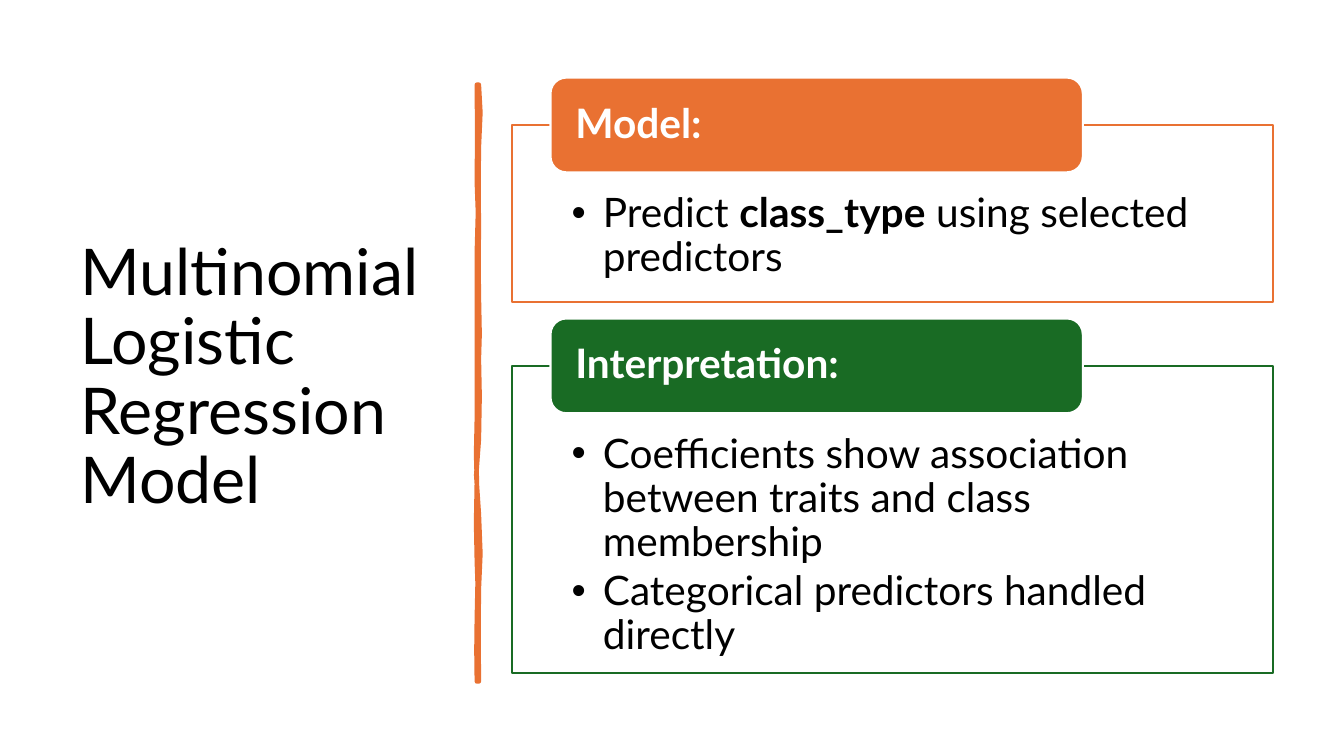
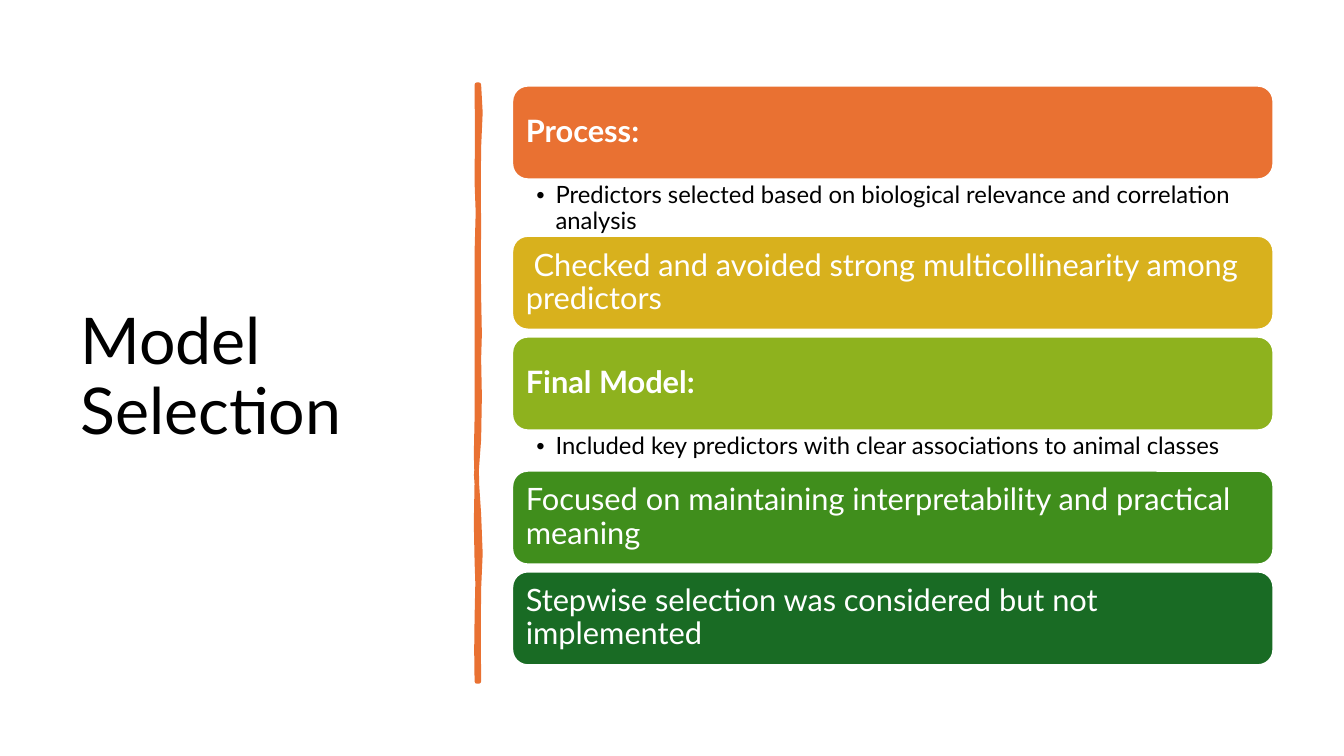
from lxml.etree import SubElement
from pptx import Presentation
from pptx.dml.color import RGBColor
from pptx.enum.shapes import MSO_SHAPE
from pptx.enum.text import MSO_ANCHOR, MSO_AUTO_SIZE, PP_ALIGN
from pptx.oxml.ns import qn
from pptx.util import Pt

PX = 9144  # EMU per px, 100 px to the inch
FONT = "Lato"
WHITE, BLACK = "FFFFFF", "000000"
ORANGE, GOLD, LIME, GREEN, FOREST = "E97132", "D8B11D", "8EB21E", "408E1C", "196B24"

TITLE_BOX = (70, 70, 374, 611)
CONTENT_LEFT, CONTENT_WIDTH = 508, 755

# Hand-drawn rule: a start point, then two controls and an end per curve
RULE_START = (475, 84)
RULE_CURVES = [
    ((477, 102), (477, 119), (475, 146)), ((473, 173), (476, 195), (475, 226)),
    ((474, 257), (475, 262), (475, 294)), ((475, 325), (477, 342), (475, 356)),
    ((473, 370), (479, 414), (475, 436)), ((471, 457), (472, 484), (475, 510)),
    ((477, 536), (477, 564), (475, 584)), ((473, 603), (476, 650), (475, 676)),
    ((474, 676), (473, 676), (473, 676)), ((474, 646), (471, 644), (473, 613)),
    ((474, 583), (474, 570), (473, 557)), ((472, 544), (472, 495), (473, 477)),
    ((473, 459), (471, 445), (473, 415)), ((474, 386), (472, 373), (473, 335)),
    ((474, 298), (472, 281), (473, 250)), ((474, 218), (475, 200), (473, 181)),
    ((470, 163), (477, 104), (473, 84)),
]
CURVE_STEPS = 2


def color(value):
    return RGBColor.from_string(value)


def emu(*lengths):
    return [length * PX for length in lengths]


def paint(shape, fill, line, width):
    shape.shadow.inherit = False
    shape.fill.solid()
    shape.fill.fore_color.rgb = color(fill)
    shape.line.color.rgb = color(line)
    shape.line.width = Pt(width)


def set_frame(shape, insets, anchor):
    frame = shape.text_frame
    frame.word_wrap = True
    frame.auto_size = MSO_AUTO_SIZE.NONE
    frame.vertical_anchor = anchor
    (frame.margin_left, frame.margin_top,
     frame.margin_right, frame.margin_bottom) = emu(*insets)
    return frame


def add_bullet(para, indent):
    props = para._p.get_or_add_pPr()
    props.set("marL", str(indent * PX))
    props.set("indent", str(-indent * PX))
    SubElement(props, qn("a:buFont")).set("typeface", "Arial")
    SubElement(props, qn("a:buChar")).set("char", "•")


def write(frame, paras, size, text_color, indent=0):
    """Each paragraph is a list of (text, bold) spans."""
    for index, spans in enumerate(paras):
        para = frame.add_paragraph() if index else frame.paragraphs[0]
        para.alignment = PP_ALIGN.LEFT
        para.line_spacing = 0.9
        para.space_before = Pt(0)
        para.space_after = Pt(4 if indent else 0)
        if indent:
            add_bullet(para, indent)
        for text, bold in spans:
            span = para.add_run()
            span.text = text
            span.font.name = FONT
            span.font.size = Pt(size)
            span.font.bold = bold
            span.font.color.rgb = color(text_color)


def add_rule(page):
    start = RULE_START
    points = []
    for first, second, end in RULE_CURVES:
        for step in range(1, CURVE_STEPS + 1):
            t = step / CURVE_STEPS
            weights = ((1 - t) ** 3, 3 * t * (1 - t) ** 2, 3 * t * t * (1 - t), t ** 3)
            knots = (start, first, second, end)
            points.append(tuple(
                round(PX * sum(w * knot[axis] for w, knot in zip(weights, knots)))
                for axis in (0, 1)))
        start = end
    builder = page.shapes.build_freeform(*emu(*RULE_START), scale=1.0)
    builder.add_line_segments(points, close=True)
    rule = builder.convert_to_shape()
    paint(rule, ORANGE, ORANGE, 3.25)
    SubElement(rule.element.spPr.find(qn("a:ln")), qn("a:round"))


def add_page(deck, title):
    """Title at the left with the vertical rule beside it."""
    page = deck.slides.add_slide(deck.slide_layouts[5])
    box = page.shapes.title
    box.left, box.top, box.width, box.height = emu(*TITLE_BOX)
    frame = set_frame(box, (10, 5, 10, 5), MSO_ANCHOR.MIDDLE)
    write(frame, [[(title, False)]], 46, BLACK)
    add_rule(page)
    return page


def add_bar(page, box, fill, spans, size, insets):
    bar = page.shapes.add_shape(MSO_SHAPE.ROUNDED_RECTANGLE, *emu(*box))
    paint(bar, fill, WHITE, 1.5)
    write(set_frame(bar, insets, MSO_ANCHOR.MIDDLE), [spans], size, WHITE)


def add_framed_list(page, box, accent, heading, paras):
    """Outlined list whose heading sits across the top edge."""
    left, top, width, height = box
    overlap = 47
    outline = page.shapes.add_shape(
        MSO_SHAPE.RECTANGLE, *emu(left, top + overlap, width, height - overlap))
    paint(outline, WHITE, accent, 1.5)
    frame = set_frame(outline, (59, 67, 59, 23), MSO_ANCHOR.TOP)
    write(frame, paras, 29, BLACK, indent=31)
    add_bar(page, (left + 38, top, 528, 94), accent, [(heading, True)], 29,
            (20, 0, 20, 0))


def add_detail(page, box, text):
    detail = page.shapes.add_textbox(*emu(*box))
    frame = set_frame(detail, (24, 4, 17, 3), MSO_ANCHOR.TOP)
    write(frame, [[(text, False)]], 17, BLACK, indent=19)


def build_regression(deck):
    page = add_page(deck, "Multinomial Logistic Regression Model")
    sections = [
        (ORANGE, "Model:", 223, [
            [("Predict ", False), ("class_type", True),
             (" using selected predictors", False)]]),
        (FOREST, "Interpretation:", 352, [
            [("Coefficients show association between traits and class membership", False)],
            [("Categorical predictors handled directly", False)]]),
    ]
    top, gap = 77, 16
    for accent, heading, height, paras in sections:
        box = (CONTENT_LEFT, top, CONTENT_WIDTH, height)
        add_framed_list(page, box, accent, heading, paras)
        top += height + gap


def build_selection(deck):
    page = add_page(deck, "Model Selection")
    # Colour, bar text, bold, detail text, detail height
    steps = [
        (ORANGE, "Process:", True,
         "Predictors selected based on biological relevance and correlation analysis", 56),
        (GOLD, " Checked and avoided strong multicollinearity among predictors",
         False, None, 0),
        (LIME, "Final Model:", True,
         "Included key predictors with clear associations to animal classes", 40),
        (GREEN, "Focused on maintaining interpretability and practical meaning",
         False, None, 0),
        (FOREST, "Stepwise selection was considered but not implemented",
         False, None, 0),
    ]
    top, bar_height, gap = 85, 93, 7
    for fill, text, bold, detail, detail_height in steps:
        add_bar(page, (CONTENT_LEFT, top, CONTENT_WIDTH, bar_height), fill,
                [(text, bold)], 22, (9, 9, 9, 9))
        top += bar_height
        if detail:
            add_detail(page, (CONTENT_LEFT, top, CONTENT_WIDTH, detail_height), detail)
        top += detail_height or gap


def main():
    deck = Presentation()
    deck.slide_width, deck.slide_height = emu(1333, 750)
    build_regression(deck)
    build_selection(deck)
    deck.save("out.pptx")


if __name__ == "__main__":
    main()
